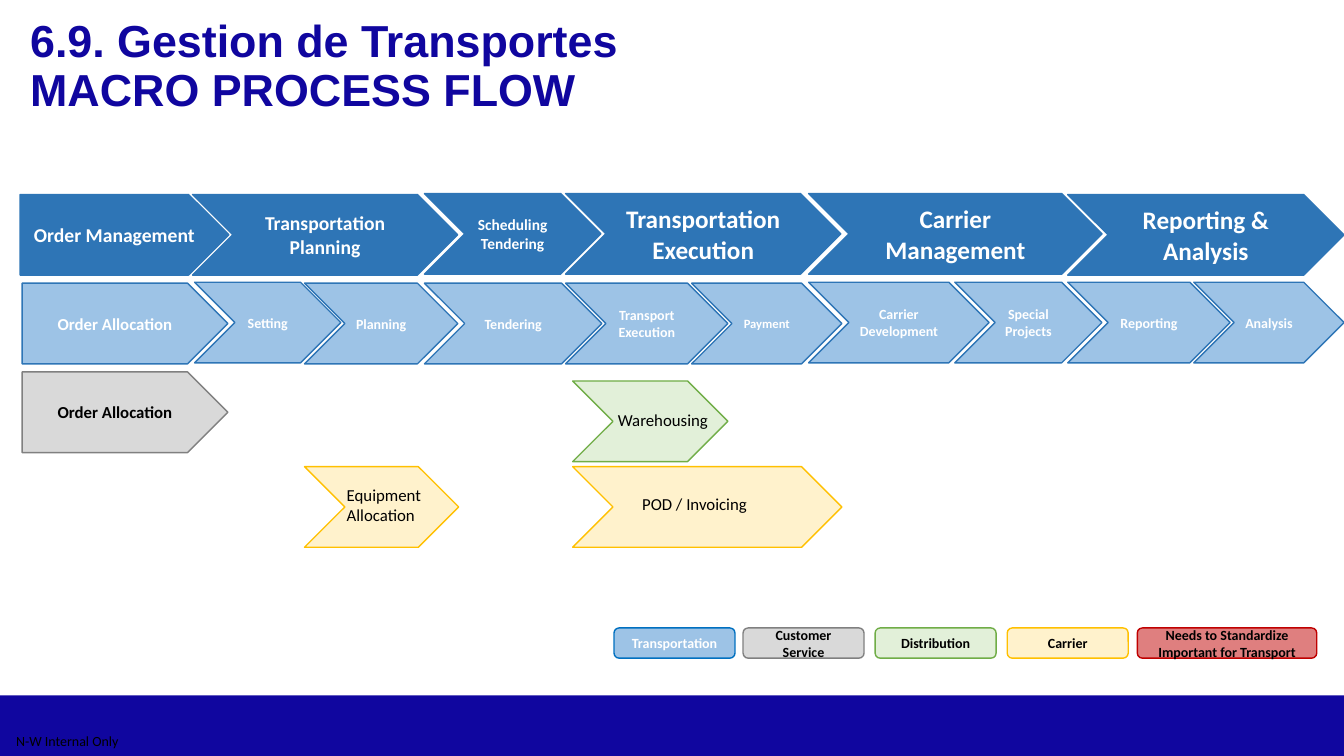
"""Build the transport management macro process flow slide."""
from lxml import etree
from pptx import Presentation
from pptx.dml.color import RGBColor
from pptx.enum import shapes, text
from pptx.oxml import ns
from pptx.util import Pt

PX = 9144
NAVY = RGBColor(0x10, 0x06, 0x9F)
BLUE = RGBColor(0x2E, 0x75, 0xB6)
SKY = RGBColor(0x9D, 0xC3, 0xE6)
AZURE = RGBColor(0x00, 0x70, 0xC0)
SILVER = RGBColor(0xD9, 0xD9, 0xD9)
GRAY = RGBColor(0x80, 0x80, 0x80)
MINT = RGBColor(0xE2, 0xF0, 0xD9)
GREEN = RGBColor(0x70, 0xAD, 0x47)
CREAM = RGBColor(0xFF, 0xF2, 0xCC)
GOLD = RGBColor(0xFF, 0xC0, 0x00)
RED = RGBColor(0xC0, 0x00, 0x00)
WHITE = RGBColor(0xFF, 0xFF, 0xFF)
BLACK = RGBColor(0x00, 0x00, 0x00)

KIND = shapes.MSO_SHAPE
PLATE, CHEVRON, ROUND = KIND.PENTAGON, KIND.CHEVRON, KIND.ROUNDED_RECTANGLE
CENTER, LEFT = text.PP_ALIGN.CENTER, text.PP_ALIGN.LEFT
MIDDLE, TOP = text.MSO_ANCHOR.MIDDLE, text.MSO_ANCHOR.TOP
STEP_H = 80

prs = Presentation()
prs.slide_width, prs.slide_height = 1333 * PX, 750 * PX
s = prs.slides.add_slide(prs.slide_layouts[6])


def write(sp, label, size, color, bold=True, align=CENTER, anchor=MIDDLE, font="Calibri"):
    tf = sp.text_frame
    tf.word_wrap = True
    tf.vertical_anchor = anchor
    tf.text = label
    for p in tf.paragraphs:
        p.alignment = align
        p.font.name, p.font.size, p.font.bold = font, Pt(size), bold
        p.font.color.rgb = color
    return tf


def draw(kind, x, y, w, h, fill, line):
    sp = s.shapes.add_shape(kind, x * PX, y * PX, w * PX, h * PX)
    sp.shadow.inherit = False
    sp.fill.solid()
    sp.fill.fore_color.rgb = fill
    sp.line.color.rgb = line
    sp.line.width = Pt(1)
    return sp


footer = draw(KIND.RECTANGLE, 0, 690, 1333, 60, NAVY, NAVY)
footer.line.fill.background()
sp = s.shapes.add_textbox(0, 721 * PX, 127 * PX, 29 * PX)
tf = write(sp, "N-W Internal Only", 10, BLACK, bold=False, align=LEFT)
tf.margin_left = tf.margin_right = tf.margin_top = tf.margin_bottom = 0
tf.margin_left = 16 * PX

sp = s.shapes.add_textbox(20 * PX, 14 * PX, 1295 * PX, 115 * PX)
tf = write(sp, "6.9. Gestion de Transportes\nMACRO PROCESS FLOW", 32, NAVY,
           align=LEFT, anchor=TOP, font="Arial")
for p in tf.paragraphs:
    p.line_spacing = 0.9

legend = [
    ("Transportation", 609, 120, SKY, AZURE, WHITE),
    ("Customer Service", 737, 120, SILVER, GRAY, BLACK),
    ("Distribution", 868, 120, MINT, GREEN, BLACK),
    ("Carrier", 999, 120, CREAM, GOLD, BLACK),
    ("Needs to Standardize\nImportant for Transport", 1128, 178, RED, RED, BLACK),
]
for label, x, w, fill, line, color in legend:
    sp = draw(ROUND, x, 623, w, 30, fill, line)
    write(sp, label, 10, color)
    if fill == RED:
        clr = sp.fill._xPr.find(ns.qn("a:solidFill"))[0]
        etree.SubElement(clr, ns.qn("a:alpha"), val="50000")

phases = [
    ("Order Management", 20, 193, 207, 14),
    ("Scheduling\nTendering", 421, 192, 175, 11),
    ("Transportation Execution", 561, 192, 273, 18),
    ("Carrier Management", 802, 192, 291, 18),
    ("Reporting & Analysis", 1059, 193, 274, 18),
    ("Transportation Planning", 191, 193, 263, 14),
]
steps = [
    ("Order Allocation", 22, 281, 204, 12),
    ("Planning", 302, 281, 152, 10),
    ("Tendering", 421, 281, 176, 10),
    ("Transport Execution", 561, 281, 161, 10),
    ("Payment", 686, 281, 149, 9),
    ("Carrier Development", 802, 280, 179, 10),
    ("Special Projects", 947, 280, 146, 10),
    ("Reporting", 1059, 280, 161, 10),
    ("Analysis", 1184, 280, 149, 10),
    ("Setting", 193, 280, 145, 10),
]
for row, fill in ((phases, BLUE), (steps, SKY)):
    for i, (label, x, y, w, size) in enumerate(row):
        sp = draw(CHEVRON if i else PLATE, x, y, w, STEP_H, fill, BLUE)
        write(sp, label, size, WHITE)

sp = draw(PLATE, 22, 369, 204, STEP_H, SILVER, GRAY)
write(sp, "Order Allocation", 12, BLACK)

support = [
    ("Warehousing", 568, 378, 154, MINT, GREEN, 603, 402, 112, 30),
    ("POD / Invoicing", 568, 463, 267, CREAM, GOLD, 627, 485, 161, 30),
    ("Equipment Allocation", 302, 463, 153, CREAM, GOLD, 334, 476, 112, 50),
]
for label, x, y, w, fill, line, tx, ty, tw, th in support:
    draw(CHEVRON, x, y, w, STEP_H, fill, line)
    sp = s.shapes.add_textbox(tx * PX, ty * PX, tw * PX, th * PX)
    write(sp, label, 12, BLACK, bold=False, align=LEFT, anchor=TOP)

prs.save("out.pptx")
